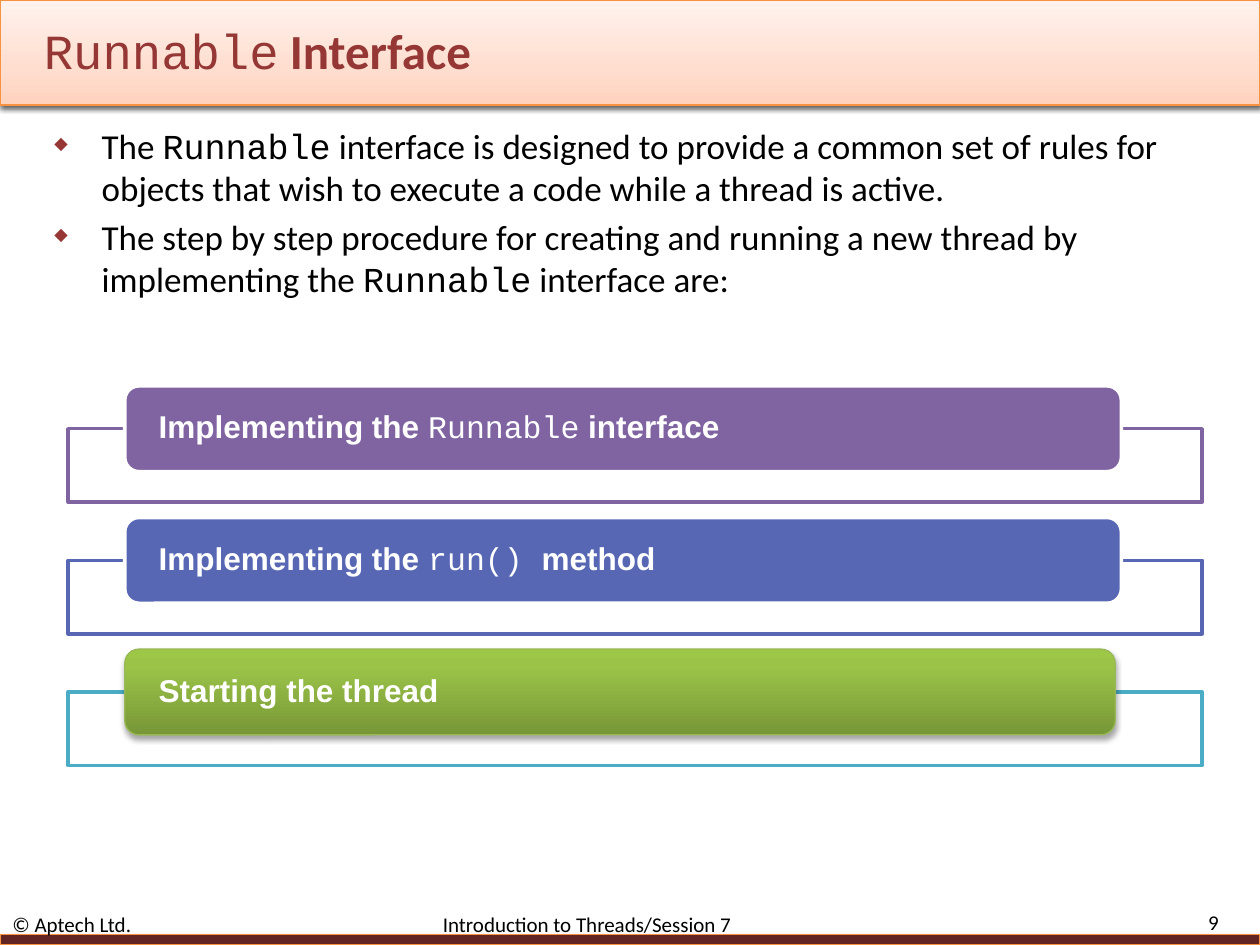
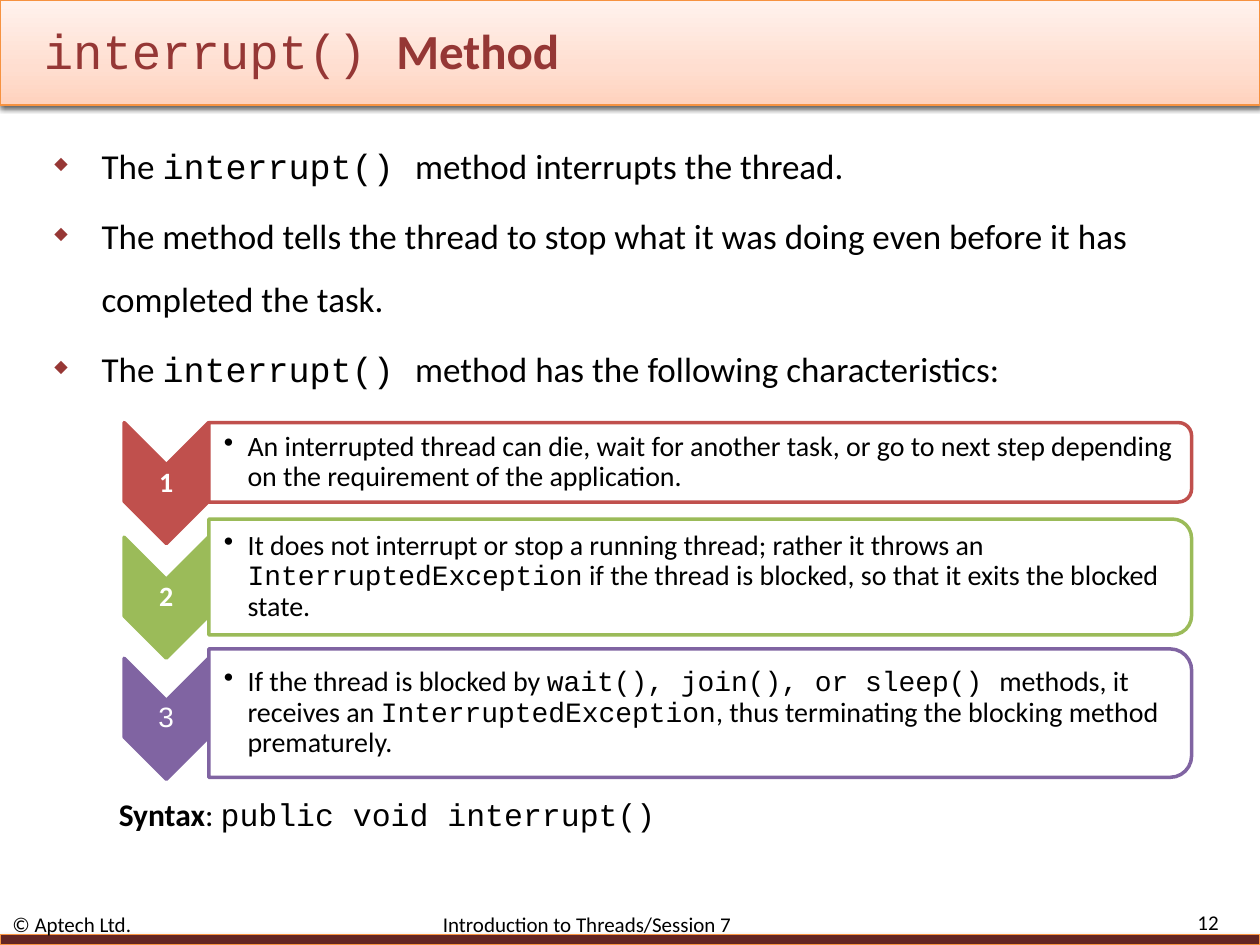
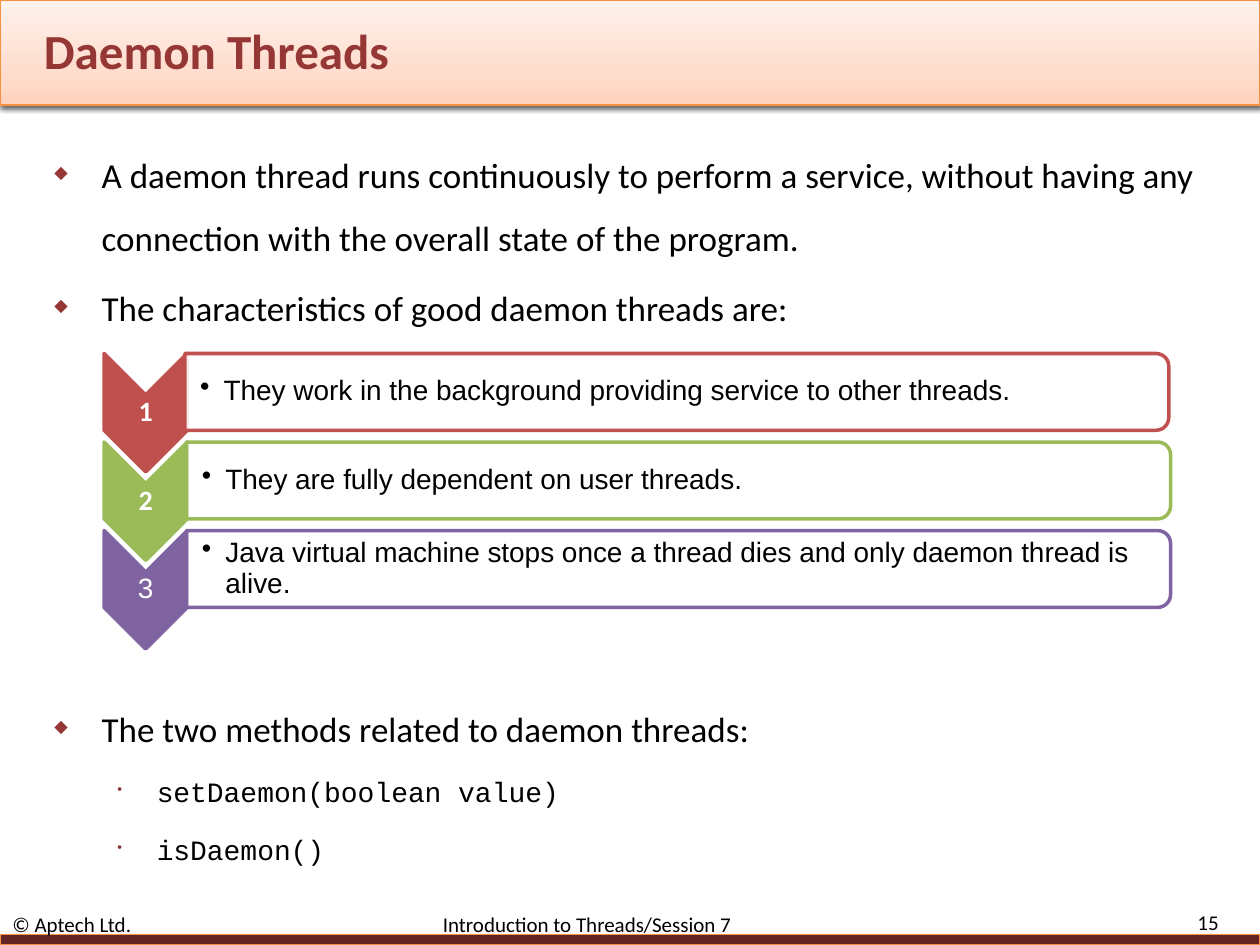
from dataclasses import dataclass

from lxml import etree
from pptx import Presentation
from pptx import util as u
from pptx.dml import color
from pptx.enum import shapes, text
from pptx.oxml import ns

Pt = u.Pt
SHAPE = shapes.MSO_SHAPE
MIDDLE = text.MSO_ANCHOR.MIDDLE


@dataclass(frozen=True)
class Theme:
    sans: str = "Calibri"
    plain: str = "Arial"
    mono: str = "Courier New"
    title_size: int = 28
    body_size: int = 20
    label_size: int = 18
    step_size: int = 16
    footer_size: int = 12
    black: str = "000000"
    white: str = "FFFFFF"
    title: str = "953735"
    bullet: str = "973735"
    sub_bullet: str = "85312F"
    band_edge: str = "F69240"
    base: str = "632523"
    red: str = "C0504D"
    green: str = "9BBB59"
    purple: str = "8064A2"
    blue: str = "5767B4"
    teal: str = "4BACC6"
    leaf_edge: str = "98B955"
    band_fill: tuple = ((0, "FFD2BD"), (35, "FFDED0"), (100, "FFF2ED"))
    leaf_fill: tuple = ((0, "779737"), (80, "9BC348"), (100, "9DC746"))


THEME = Theme()


def add_xml(parent, tag, **attributes):
    return etree.SubElement(parent, ns.qn(f"a:{tag}"),
                            {key: str(value) for key, value in attributes.items()})


def write(frame, content, font=THEME.sans, size=THEME.body_size, ink=THEME.black,
          align=None, line=None, before=0, bullet=None, bullet_ink=None,
          bullet_scale=100, indent=None, tab=None):
    """Backticks mark code spans and asterisks mark bold spans."""
    first = not frame.text
    para = frame.paragraphs[0] if first else frame.add_paragraph()
    props = para._p.get_or_add_pPr()
    if indent:
        margin, hanging = indent
        props.set("marL", str(Pt(margin)))
        props.set("indent", str(Pt(-hanging)))
    if bullet:
        if bullet_ink:
            add_xml(add_xml(props, "buClr"), "srgbClr", val=bullet_ink)
        add_xml(props, "buSzPct", val=bullet_scale * 1000)
        add_xml(props, "buChar", char=bullet)
    if tab:
        add_xml(add_xml(props, "tabLst"), "tab", pos=Pt(tab), algn="l")
    para.alignment = align
    para.line_spacing = line
    para.space_before = Pt(0 if first else before)
    for code_index, chunk in enumerate(content.split("`")):
        for bold_index, part in enumerate(chunk.split("*")):
            if part:
                span = para.add_run()
                span.text = part
                span.font.name = THEME.mono if code_index % 2 else font
                span.font.size = Pt(size)
                span.font.bold = bold_index % 2 == 1
                span.font.color.rgb = color.RGBColor.from_string(ink)


class Sheet:
    def __init__(self, deck, theme):
        self.deck = deck
        self.theme = theme
        self.page = None

    def start(self, title, number):
        style = self.theme
        self.page = self.deck.slides.add_slide(self.deck.slide_layouts[6])
        self.shape(SHAPE.RECTANGLE, (0, 0, 720, 60), style.band_fill,
                   style.band_edge, 0.75, shadow=(60, 1.6))
        self.shape(SHAPE.RECTANGLE, (0, 534, 720, 6), style.base,
                   style.band_edge, 0.75, shadow=(35, 1.8))
        write(self.box((18, 12, 600, 33), anchor=MIDDLE), title,
              size=style.title_size, ink=style.title)
        write(self.box((0, 522, 636, 12), anchor=MIDDLE),
              "© Aptech Ltd.\tIntroduction to Threads/Session 7",
              size=style.footer_size, tab=246)
        write(self.box((642, 520.5, 61.5, 13), anchor=MIDDLE), str(number),
              size=style.footer_size, align=text.PP_ALIGN.RIGHT)

    def box(self, bounds, insets=(7.2, 3.6, 7.2, 3.6), anchor=text.MSO_ANCHOR.TOP):
        frame = self.page.shapes.add_textbox(*map(Pt, bounds)).text_frame
        self.fit(frame, insets, anchor)
        return frame

    def fit(self, frame, insets, anchor):
        frame.word_wrap = True
        frame.vertical_anchor = anchor
        (frame.margin_left, frame.margin_top,
         frame.margin_right, frame.margin_bottom) = map(Pt, insets)

    def shape(self, kind, bounds, fill, edge, weight=2, alpha=None, shadow=None):
        item = self.page.shapes.add_shape(kind, *map(Pt, bounds))
        item.shadow.inherit = False
        props = item._element.spPr
        if isinstance(fill, str):
            item.fill.solid()
            item.fill.fore_color.rgb = color.RGBColor.from_string(fill)
            if alpha:
                add_xml(props.find(ns.qn("a:solidFill"))[0], "alpha", val=alpha * 1000)
        else:
            item.fill.gradient()
            item.fill.gradient_angle = 90
            stops = props.find(".//" + ns.qn("a:gsLst"))
            stops[:] = []
            for position, shade in fill:
                stop = add_xml(stops, "gs", pos=position * 1000)
                add_xml(stop, "srgbClr", val=shade)
        item.line.color.rgb = color.RGBColor.from_string(edge)
        item.line.width = Pt(weight)
        if shadow:
            opacity, distance = shadow
            cast = add_xml(props.find(ns.qn("a:effectLst")), "outerShdw",
                           blurRad=Pt(3.1), dist=Pt(distance), dir=5400000, rotWithShape=0)
            shade = add_xml(cast, "srgbClr", val=self.theme.black)
            add_xml(shade, "alpha", val=opacity * 1000)
        return item

    def quarter_turn(self, kind, bounds, fill, edge, **options):
        left, top, width, height = bounds
        shift = (width - height) / 2
        item = self.shape(kind, (left + shift, top - shift, height, width),
                          fill, edge, **options)
        item.rotation = 90

    def bullets(self, frame, items, line=None):
        for item in items:
            write(frame, item, line=line, before=4, bullet="◆",
                  bullet_ink=self.theme.bullet, bullet_scale=50, indent=(27, 27))

    def bar(self, top, label, ink, fill, edge, weight=2, width=569.5, shadow=None):
        style = self.theme
        self.shape(SHAPE.RECTANGLE, (39, top + 24.5, 648, 42), style.white, ink, alpha=90)
        pill = self.shape(SHAPE.ROUNDED_RECTANGLE, (71.3, top, width, 49), fill, edge,
                          weight, shadow=shadow)
        self.fit(pill.text_frame, (17, 0, 17, 0), MIDDLE)
        write(pill.text_frame, label, font=style.plain, size=style.label_size,
              ink=style.white, align=text.PP_ALIGN.LEFT, line=0.9)

    def step(self, number, ink, content, chevron, card, font):
        style = self.theme
        left, top, width, height = chevron
        self.quarter_turn(SHAPE.CHEVRON, chevron, ink, ink)
        last = number == 3
        write(self.box((left, top + width / 2, width, height - width), (0.7,) * 4, MIDDLE),
              str(number) if last else f"*{number}*",
              font=style.plain if last else style.sans, size=style.step_size,
              ink=style.white, align=text.PP_ALIGN.CENTER, line=0.9)
        self.quarter_turn(SHAPE.ROUND_2_SAME_RECTANGLE, card, style.white, ink, alpha=90)
        card_left, card_top, card_width, card_height = card
        write(self.box((card_left, card_top, card_width - 3, card_height),
                       (8.7, 0.7, 0.7, 0.7), MIDDLE),
              content, font=font, size=style.step_size, line=0.9,
              bullet="•", indent=(13.5, 13.5))


def runnable_page(sheet):
    style = sheet.theme
    sheet.start("`Runnable`* Interface*", 9)
    sheet.bullets(sheet.box((24, 67.5, 678, 138)), [
        "The `Runnable` interface is designed to provide a common set of rules for "
        "objects that wish to execute a code while a thread is active.",
        "The step by step procedure for creating and running a new thread by "
        "implementing the `Runnable` interface are:",
    ])
    top, pitch = 220.5, 75.2
    bars = [("*Implementing the *`Runnable`* interface*", style.purple),
            ("*Implementing the *`run() `*method*", style.blue)]
    for row, (label, ink) in enumerate(bars):
        sheet.bar(top + row * pitch, label, ink, ink, style.white)
    sheet.bar(top + 2 * pitch, "*Starting the thread*", style.teal, style.leaf_fill,
              style.leaf_edge, weight=0.75, width=566, shadow=(35, 1.8))


def interrupt_page(sheet):
    style = sheet.theme
    sheet.start("`interrupt() `*Method*", 12)
    sheet.bullets(sheet.box((24, 67, 678, 165)), [
        "The `interrupt() `method interrupts the thread.",
        "The method tells the thread to stop what it was doing even before it has "
        "completed the task.",
        "The `interrupt() `method has the following characteristics:",
    ], line=1.5)
    steps = [
        (style.red, 241.5, 241.5, 45.4,
         "An interrupted thread can die, wait for another task, or go to next step "
         "depending on the requirement of the application."),
        (style.green, 307, 296.6, 66.2,
         "It does not interrupt or stop a running thread; rather it throws an "
         "`InterruptedException` if the thread is blocked, so that it exits the "
         "blocked state."),
        (style.purple, 376.2, 370.8, 73.4,
         "If the thread is blocked by `wait(), join(), or sleep() `methods, it "
         "receives an `InterruptedException`, thus terminating the blocking method "
         "prematurely."),
    ]
    for number, (ink, chevron_top, card_top, height, content) in enumerate(steps, 1):
        sheet.step(number, ink, content, (70.9, chevron_top, 48.2, 69.1),
                   (119.3, card_top, 561.6, height), style.sans)
    write(sheet.box((60.8, 451, 630, 30)), "*Syntax*: `public void interrupt()`",
          size=style.label_size)


def daemon_page(sheet):
    style = sheet.theme
    sheet.start("*Daemon Threads*", 15)
    sheet.bullets(sheet.box((24, 72, 678, 125)), [
        "A daemon thread runs continuously to perform a service, without having any "
        "connection with the overall state of the program.",
        "The characteristics of good daemon threads are:",
    ], line=1.5)
    steps = [
        (style.red, 105.6, "They work in the background providing service to other threads."),
        (style.green, 106.6, "They are fully dependent on user threads."),
        (style.purple, 106.6,
         "Java virtual machine stops once a thread dies and only daemon thread is alive."),
    ]
    for number, (ink, card_left, content) in enumerate(steps, 1):
        top = 202 + (number - 1) * 50.6
        sheet.step(number, ink, content, (59.5, top, 47.5, 67.7),
                   (card_left, top, 562.3, 43.9), style.plain)
    methods = sheet.box((24, 388.5, 678, 125))
    sheet.bullets(methods, ["The two methods related to daemon threads:"], line=1.5)
    for method in ("`setDaemon(boolean value)`", "`isDaemon()`"):
        write(methods, method, size=style.step_size, line=1.5, before=4.8, bullet="•",
              bullet_ink=style.sub_bullet, bullet_scale=50, indent=(58.5, 22.5))


def main():
    deck = Presentation()
    deck.slide_width, deck.slide_height = Pt(720), Pt(540)
    sheet = Sheet(deck, THEME)
    for build in (runnable_page, interrupt_page, daemon_page):
        build(sheet)
    deck.save("out.pptx")


if __name__ == "__main__":
    main()
